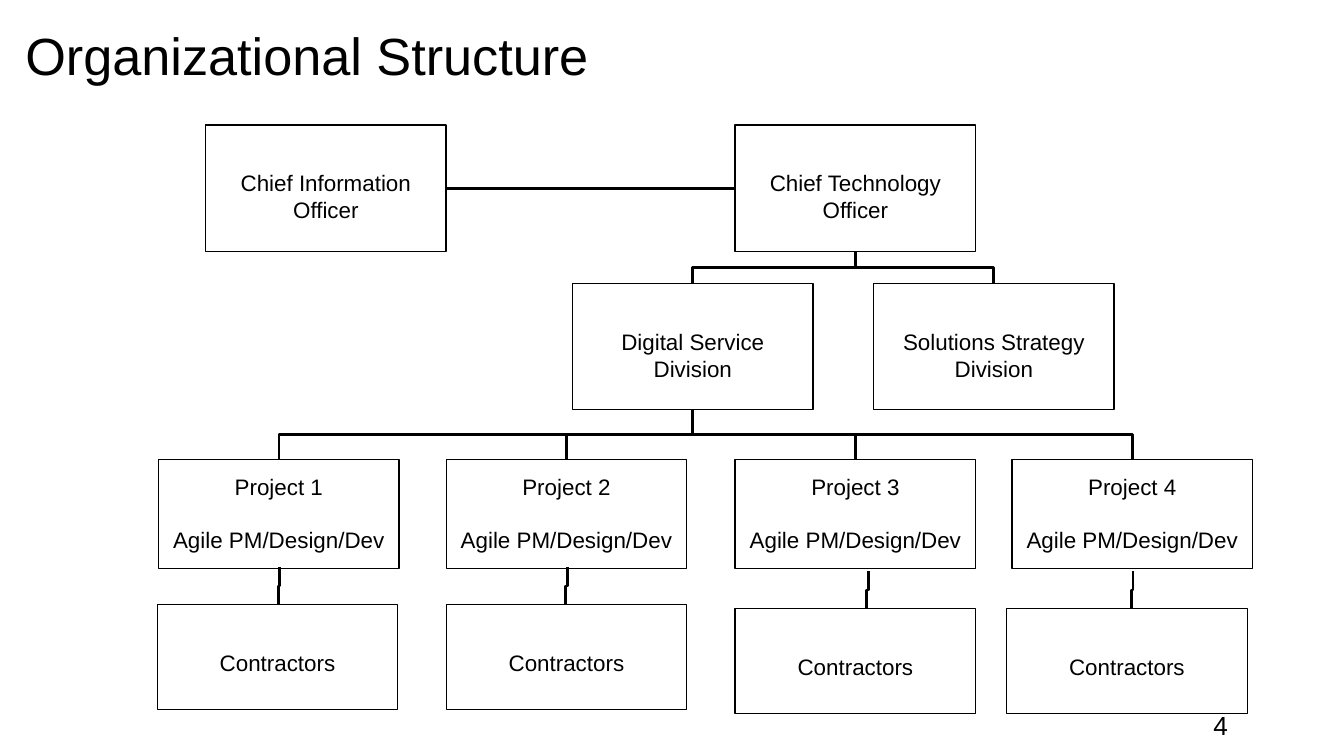
from pptx import Presentation
from pptx.dml.color import RGBColor
from pptx.enum.shapes import MSO_CONNECTOR, MSO_SHAPE
from pptx.enum.text import MSO_ANCHOR, PP_ALIGN
from pptx.oxml.ns import qn
from pptx.util import Inches, Pt
from lxml.etree import SubElement

COLORS = {"ink": "000000", "page": "FFFFFF"}
FONT = "Arial"
BOX_W = 1.79
TOP, LEFT, BOTTOM, RIGHT = range(4)


def color(name):
    return RGBColor.from_string(COLORS[name])


def write(sp, *lines, size=12, align=PP_ALIGN.CENTER, anchor=MSO_ANCHOR.TOP,
          inset_top=0.1, gap=0):
    """Fill a shape with one paragraph per line, gap points apart."""
    tf = sp.text_frame
    tf.word_wrap = True
    tf.vertical_anchor = anchor
    tf.margin_left = tf.margin_right = tf.margin_bottom = Inches(0.1)
    tf.margin_top = Inches(inset_top)
    for i, line in enumerate(lines):
        p = tf.paragraphs[0] if i == 0 else tf.add_paragraph()
        p.alignment = align
        p.space_before = Pt(gap if i else 0)
        r = p.add_run()
        r.text = line
        r.font.name = FONT
        r.font.size = Pt(size)
        r.font.color.rgb = color("ink")


def add_label(s, x, y, w, h, text, **fmt):
    sp = s.shapes.add_textbox(Inches(x), Inches(y), Inches(w), Inches(h))
    write(sp, text, align=PP_ALIGN.LEFT, **fmt)


def add_box(s, x, y, h, *lines, **fmt):
    sp = s.shapes.add_shape(MSO_SHAPE.RECTANGLE, Inches(x), Inches(y),
                            Inches(BOX_W), Inches(h))
    sp.shadow.inherit = False
    sp.fill.background()
    sp.line.color.rgb = color("ink")
    sp.line.width = Pt(0.75)
    write(sp, *lines, **fmt)
    return sp


def add_line(s, kind):
    line = s.shapes.add_connector(kind, 0, 0, 0, 0)
    line.line.color.rgb = color("ink")
    line.line.width = Pt(1.5)
    SubElement(line._element.spPr, qn("a:effectLst"))
    return line


def drop(line, x1, y1, x2, y2):
    """Turn an elbow connector so that it runs down, across and down."""
    w, h = y2 - y1, abs(x2 - x1)
    line.left, line.top = (x1 + x2 - w) // 2, (y1 + y2 - h) // 2
    line.width, line.height = w, h
    to_right = x2 > x1
    xfrm = line._element.spPr.find(qn("a:xfrm"))
    xfrm.set("rot", str((270 if to_right else 90) * 60000))
    xfrm.set("flipH", "1" if to_right else "0")
    xfrm.set("flipV", "0")


def add_branch(s, parent, child):
    line = add_line(s, MSO_CONNECTOR.ELBOW)
    line.begin_connect(parent, BOTTOM)
    line.end_connect(child, TOP)
    drop(line, parent.left + parent.width // 2, parent.top + parent.height,
         child.left + child.width // 2, child.top)


def add_stub(s, x, y):
    """Short elbow between a project and its contractors."""
    drop(add_line(s, MSO_CONNECTOR.ELBOW), Inches(x), Inches(y),
         Inches(x - 0.01), Inches(y + 0.28))


def main():
    prs = Presentation()
    prs.slide_width = Inches(10)
    prs.slide_height = prs.slide_width * 9 // 16
    s = prs.slides.add_slide(prs.slide_layouts[6])
    s.background.fill.solid()
    s.background.fill.fore_color.rgb = color("page")

    add_label(s, 0.09, 0.07, 9.32, 0.63, "Organizational Structure", size=28)

    cio, cto, digital, strategy = [
        add_box(s, x, y, 0.94, text, inset_top=0.33)
        for x, y, text in [
            (1.53, 0.93, "Chief Information Officer"),
            (5.47, 0.93, "Chief Technology Officer"),
            (4.26, 2.11, "Digital Service Division"),
            (6.5, 2.11, "Solutions Strategy Division"),
        ]
    ]
    peers = add_line(s, MSO_CONNECTOR.STRAIGHT)
    peers.begin_connect(cio, RIGHT)
    peers.end_connect(cto, LEFT)
    for division in (digital, strategy):
        add_branch(s, cto, division)

    # project x, contractors x, contractors y, stub x
    columns = [(1.18, 1.17, 4.5, 2.08), (3.32, 3.32, 4.5, 4.22),
               (5.47, 5.47, 4.53, 6.46), (7.53, 7.49, 4.53, 8.43)]
    for n, (project_x, team_x, team_y, stub_x) in enumerate(columns, 1):
        project = add_box(s, project_x, 3.42, 0.81, f"Project {n}",
                          "Agile PM/Design/Dev", gap=14)
        add_branch(s, digital, project)
        add_box(s, team_x, team_y, 0.78, "Contractors", inset_top=0.33)
        add_stub(s, stub_x, team_y - 0.28)

    add_label(s, 8.93, 5.18, 0.6, 0.43, "4", size=14, anchor=MSO_ANCHOR.MIDDLE)
    prs.save("out.pptx")


if __name__ == "__main__":
    main()
